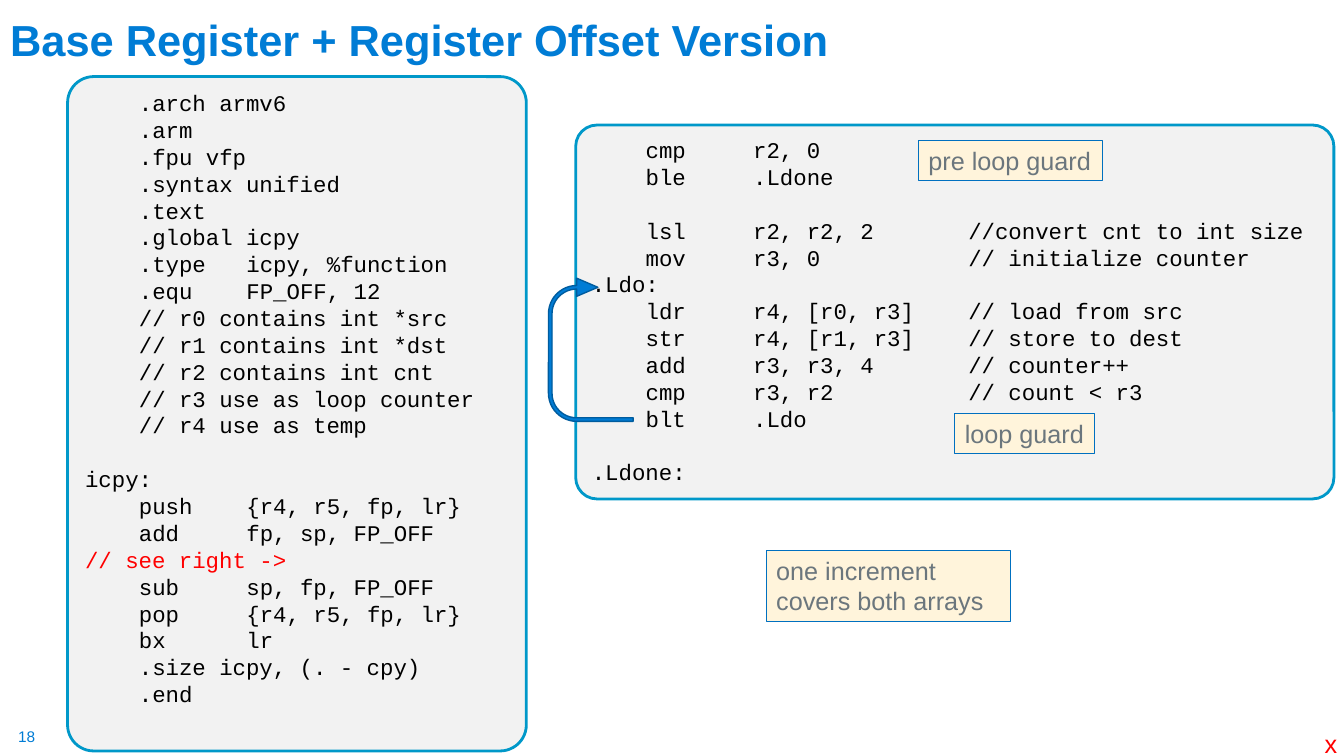
import pptx
import pptx.util
import pptx.dml.color
import pptx.enum.shapes
import pptx.enum.text
import lxml.etree
from dataclasses import dataclass

Inches = pptx.util.Inches
Pt = pptx.util.Pt
SHAPE = pptx.enum.shapes.MSO_SHAPE
ANCHOR = pptx.enum.text.MSO_ANCHOR
ALIGN = pptx.enum.text.PP_ALIGN

TITLE = "Base Register + Register Offset Version"
PAGE = "18"
CORNER_MARK = "x"
SETUP_CODE = [
    ("", ".arch armv6"),
    ("", ".arm"),
    ("", ".fpu vfp"),
    ("", ".syntax unified"),
    ("", ".text"),
    ("", ".global icpy"),
    ("", ".type", "icpy, %function"),
    ("", ".equ", "FP_OFF, 12"),
    ("", "// r0 contains int *src"),
    ("", "// r1 contains int *dst"),
    ("", "// r2 contains int cnt"),
    ("", "// r3 use as loop counter"),
    ("", "// r4 use as temp"),
    ("icpy:",),
    ("", "push", "{r4, r5, fp, lr}"),
    ("", "add", "fp, sp, FP_OFF"),
    ("// see right ->",),
    ("", "sub", "sp, fp, FP_OFF"),
    ("", "pop", "{r4, r5, fp, lr}"),
    ("", "bx", "lr"),
    ("", ".size icpy, (. - cpy)"),
    ("", ".end"),
]
LOOP_CODE = [
    ("", "cmp", "r2, 0"),
    ("", "ble", ".Ldone"),
    ("", "lsl", "r2, r2, 2", "//convert cnt to int size"),
    ("", "mov", "r3, 0", "// initialize counter"),
    (".Ldo:",),
    ("", "ldr", "r4, [r0, r3]", "// load from src"),
    ("", "str", "r4, [r1, r3]", "// store to dest"),
    ("", "add", "r3, r3, 4", "// counter++"),
    ("", "cmp", "r3, r2", "// count < r3"),
    ("", "blt", ".Ldo"),
    (".Ldone:",),
]
PANELS = [
    {"at": (5.71, 1.24, 7.52, 3.71), "code": LOOP_CODE, "gap_before": (2, 10), "red": ()},
    {"at": (0.67, 0.76, 4.55, 6.69), "code": SETUP_CODE, "gap_before": (13,), "red": (16,)},
]
CALLOUTS = [
    ("loop guard", (9.47, 4.1, 1.39, 0.4), False),
    ("pre loop guard", (9.11, 1.39, 1.83, 0.4), False),
    ("one increment covers both arrays", (7.6, 5.46, 2.42, 0.71), True),
]
LOOP_ARROW = {"at": (5.15, 3.05, 1.42, 0.84), "shape": (0.042, 0.107, 0.25, 0.438, 0.583)}
CODE_COLUMNS = (4, 12, 28)


@dataclass(frozen=True)
class Theme:
    sans: str = "Arial"
    mono: str = "Courier New"
    blue: str = "007CD5"
    arrow_edge: str = "005C9E"
    panel: str = "F2F2F2"
    panel_edge: str = "0098C9"
    callout: str = "FFF4DB"
    callout_edge: str = "0070C0"
    callout_text: str = "6B767D"
    code: str = "000000"
    red: str = "FF0000"
    title_size: float = 31
    callout_size: float = 18
    code_size: float = 16
    page_size: float = 11
    code_leading: float = 19.2


THEME = Theme()


def rgb(value):
    return pptx.dml.color.RGBColor.from_string(value)


def box(at):
    return [Inches(length) for length in at]


def style(paragraph, font, size, color, bold=False):
    paragraph.alignment = ALIGN.LEFT
    for run in paragraph.runs:
        run.font.name = font
        run.font.size = Pt(size)
        run.font.color.rgb = rgb(color)
        run.font.bold = bold


def add_filled(slide, kind, at, fill, edge, edge_width):
    shape = slide.shapes.add_shape(kind, *box(at))
    shape.shadow.inherit = False
    shape.fill.solid()
    shape.fill.fore_color.rgb = rgb(fill)
    shape.line.color.rgb = rgb(edge)
    shape.line.width = Pt(edge_width)
    shape.text_frame.vertical_anchor = ANCHOR.TOP
    return shape


def set_code_tabs(paragraph):
    properties = paragraph._p.get_or_add_pPr()
    namespace = properties.nsmap["a"]
    tabs = lxml.etree.SubElement(properties, f"{{{namespace}}}tabLst")
    character = 0.6 * THEME.code_size
    for column in CODE_COLUMNS:
        tab = lxml.etree.SubElement(tabs, f"{{{namespace}}}tab")
        tab.set("pos", str(Pt(column * character)))
        tab.set("algn", "l")


def add_panel(slide, panel):
    shape = add_filled(slide, SHAPE.ROUNDED_RECTANGLE, panel["at"], THEME.panel, THEME.panel_edge, 2)
    shape.adjustments[0] = 0.057
    frame = shape.text_frame
    frame.word_wrap = True
    frame.text = "\n".join("\t".join(line) for line in panel["code"])
    for index, paragraph in enumerate(frame.paragraphs):
        style(paragraph, THEME.mono, THEME.code_size, THEME.red if index in panel["red"] else THEME.code)
        paragraph.line_spacing = Pt(THEME.code_leading)
        if index in panel["gap_before"]:
            paragraph.space_before = Pt(THEME.code_leading)
        set_code_tabs(paragraph)


def add_callout(slide, text, at, wraps):
    shape = add_filled(slide, SHAPE.RECTANGLE, at, THEME.callout, THEME.callout_edge, 0.75)
    shape.text_frame.word_wrap = wraps
    shape.text_frame.text = text
    style(shape.text_frame.paragraphs[0], THEME.sans, THEME.callout_size, THEME.callout_text)


def add_label(slide, text, at, margins, size, color):
    frame = slide.shapes.add_textbox(*box(at)).text_frame
    frame.margin_left, frame.margin_top, frame.margin_right, frame.margin_bottom = box(margins)
    frame.word_wrap = False
    frame.text = text
    style(frame.paragraphs[0], THEME.sans, size, color)


def add_title(slide):
    title = slide.shapes.title
    title.left, title.top, title.width, title.height = box((0, -0.08, 9.11, 0.78))
    title.text_frame.text = TITLE
    title.text_frame.vertical_anchor = ANCHOR.BOTTOM
    heading = title.text_frame.paragraphs[0]
    heading.line_spacing = 0.9
    style(heading, THEME.sans, THEME.title_size, THEME.blue, True)


def add_loop_arrow(slide):
    arrow = add_filled(slide, SHAPE.U_TURN_ARROW, LOOP_ARROW["at"], THEME.blue, THEME.arrow_edge, 1)
    arrow.rotation = 270
    for index, value in enumerate(LOOP_ARROW["shape"]):
        arrow.adjustments[index] = value


def main():
    deck = pptx.Presentation()
    deck.slide_width, deck.slide_height = Inches(13.33), Inches(7.5)
    slide = deck.slides.add_slide(deck.slide_layouts[5])
    add_title(slide)
    add_label(slide, PAGE, (0.18, 7.21, 0.19, 0.19), (0, 0, 0, 0), THEME.page_size, THEME.blue)
    for panel in PANELS:
        add_panel(slide, panel)
    add_label(slide, CORNER_MARK, (13.04, 7.18, 0.29, 0.32), (0.1, 0.05, 0, 0), THEME.callout_size, THEME.red)
    add_loop_arrow(slide)
    for text, at, wraps in CALLOUTS:
        add_callout(slide, text, at, wraps)
    deck.save("out.pptx")


if __name__ == "__main__":
    main()
